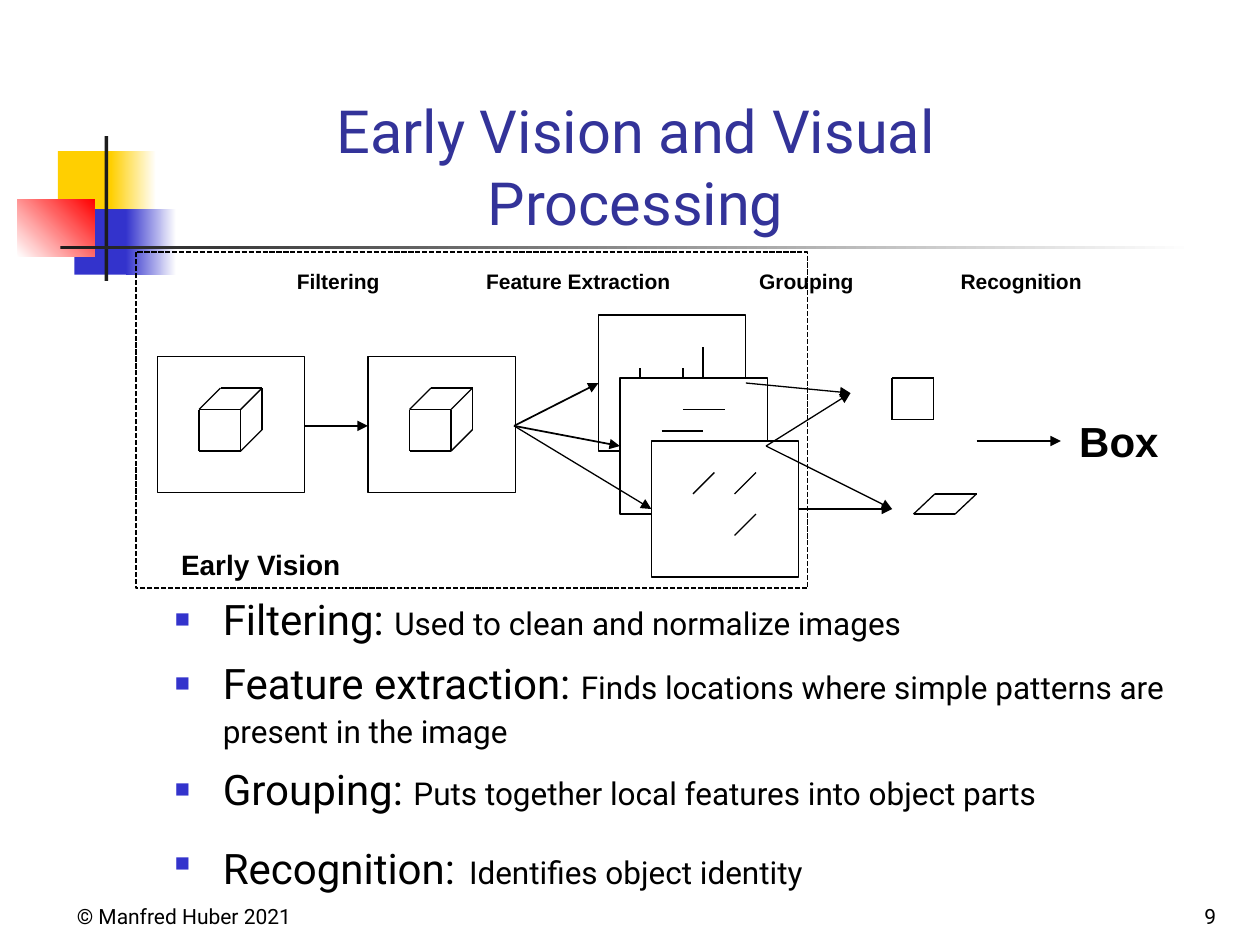
from lxml import etree
from pptx import Presentation
from pptx import util as u
from pptx.dml import color
from pptx.enum import dml, shapes, text
from pptx.oxml import ns

BLACK, WHITE, BLUE, YELLOW, DARK = "000000", "FFFFFF", "3333CC", "FFCF01", "1C1C1C"
LEFT, CENTER, RIGHT = text.PP_ALIGN.LEFT, text.PP_ALIGN.CENTER, text.PP_ALIGN.RIGHT
FRAME_WIDTH, FRAME_HEIGHT = 1.17, 1.08
SIDE, DEPTH = 0.33, 0.17

DECORATION = [
    (0.46, 1.2, 0.48, 0.52, [YELLOW]),
    (0.88, 1.2, 0.36, 0.52, [YELLOW, WHITE]),
    (0.59, 1.66, 0.46, 0.52, [BLUE]),
    (1, 1.66, 0.4, 0.52, [BLUE, WHITE]),
    (0.14, 1.58, 0.61, 0.46, [WHITE, "FF0000"], 45),
    (0.83, 1.08, 0.03, 1.15, [DARK]),
    (0.48, 1.95, 9, 0.03, [DARK, WHITE]),
]
BULLETS = [
    [("Filtering: ", 24), ("Used to clean and normalize images", 18)],
    [("Feature extraction: ", 24),
     ("Finds locations where simple patterns are present in the image", 18)],
    [("Grouping: ", 24), ("Puts together local features into object parts", 18)],
    [("Recognition:", 24), (" ", 32), ("Identifies object identity", 18)],
]
STAGES = [
    ("Filtering", 2.25, 0.87),
    ("Feature Extraction", 3.75, 1.68),
    ("Grouping", 5.92, 0.96),
    ("Recognition", 7.52, 1.17),
]
FEATURE_MAPS = [
    (4.75, 2.5, (0, -SIDE), [(5.08, 3.25), (5.42, 3.25), (5.58, 3.08)]),
    (4.92, 3, (SIDE, 0), [(5.25, 3.42), (5.42, 3.25)]),
    (5.17, 3.5, (DEPTH, -DEPTH), [(5.83, 4.25), (5.83, 3.92), (5.5, 3.92)]),
]
FEATURE_ARROWS = [
    (4.08, 3.38, 4.75, 3.04, 1),
    (4.08, 3.38, 4.92, 3.54, 1),
    (4.08, 3.38, 5.17, 4.04),
]
GROUPING_ARROWS = [
    (6.08, 3.54, 7.08, 4.04),
    (6.08, 3.54, 6.75, 3.12),
    (5.92, 3.04, 6.75, 3.12),
    (6.33, 4.04, 7.08, 4.04),
]


def rgb(value):
    return color.RGBColor.from_string(value)


def add_rectangle(slide, left, top, width, height, fills=(), angle=0, line=None):
    shape = slide.shapes.add_shape(
        shapes.MSO_SHAPE.RECTANGLE,
        u.Inches(left), u.Inches(top), u.Inches(width), u.Inches(height))
    shape.shadow.inherit = False
    if len(fills) == 2:
        shape.fill.gradient()
        shape.fill.gradient_angle = angle
        for stop, value in zip(shape.fill.gradient_stops, fills):
            stop.color.rgb = rgb(value)
    elif fills:
        shape.fill.solid()
        shape.fill.fore_color.rgb = rgb(fills[0])
    else:
        shape.fill.background()
    if line:
        shape.line.color.rgb = rgb(BLACK)
        shape.line.width = u.Pt(line)
    else:
        shape.line.fill.background()
    return shape


def add_frame(slide, left, top, fills=()):
    add_rectangle(slide, left, top, FRAME_WIDTH, FRAME_HEIGHT, fills, line=0.75)


def add_line(slide, x1, y1, x2, y2, width=0.75):
    connector = slide.shapes.add_connector(
        shapes.MSO_CONNECTOR.STRAIGHT,
        u.Inches(x1), u.Inches(y1), u.Inches(x2), u.Inches(y2))
    connector.line.color.rgb = rgb(BLACK)
    connector.line.width = u.Pt(width)
    etree.SubElement(connector._element.spPr, ns.qn("a:effectLst"))
    return connector


def add_arrow(slide, *ends):
    connector = add_line(slide, *ends)
    tail = etree.SubElement(connector.line._get_or_add_ln(), ns.qn("a:tailEnd"))
    tail.set("type", "triangle")


def add_outline(slide, points):
    for start, end in zip(points, points[1:] + points[:1]):
        add_line(slide, *start, *end)


def add_square(slide, x, y):
    add_outline(slide, [(x, y), (x + SIDE, y), (x + SIDE, y + SIDE), (x, y + SIDE)])


def add_cube(slide, x, y):
    add_square(slide, x, y)
    right, back = x + SIDE, x + SIDE + DEPTH
    edges = [(x, y), (x + DEPTH, y - DEPTH), (back, y - DEPTH),
             (back, y + SIDE - DEPTH), (right, y + SIDE)]
    for start, end in zip(edges, edges[1:]):
        add_line(slide, *start, *end)
    add_line(slide, right, y, back, y - DEPTH)


def add_run(paragraph, words, size, font, value=BLACK, bold=False):
    run = paragraph.add_run()
    run.text = words
    run.font.size = u.Pt(size)
    run.font.name = font
    run.font.bold = bold
    run.font.color.rgb = rgb(value)


def add_text_frame(slide, left, top, width, height, anchor=text.MSO_ANCHOR.TOP, wrap=True):
    box = slide.shapes.add_textbox(
        u.Inches(left), u.Inches(top), u.Inches(width), u.Inches(height))
    frame = box.text_frame
    frame.word_wrap = wrap
    frame.vertical_anchor = anchor
    return frame


def add_bottom_text(slide, area, words, size, align, value=BLACK):
    frame = add_text_frame(slide, *area, anchor=text.MSO_ANCHOR.BOTTOM)
    paragraph = frame.paragraphs[0]
    paragraph.alignment = align
    add_run(paragraph, words, size, "Roboto", value)


def add_label(slide, area, words, size, wrap=False):
    frame = add_text_frame(slide, *area, wrap=wrap)
    frame.auto_size = text.MSO_AUTO_SIZE.SHAPE_TO_FIT_TEXT
    paragraph = frame.paragraphs[0]
    paragraph.alignment = CENTER
    add_run(paragraph, words, size, "Arial", bold=True)


def set_bullet(paragraph):
    properties = paragraph._p.get_or_add_pPr()
    properties.set("marL", str(u.Inches(0.38)))
    properties.set("indent", str(u.Inches(-0.38)))
    bullet_color = etree.SubElement(properties, ns.qn("a:buClr"))
    etree.SubElement(bullet_color, ns.qn("a:srgbClr")).set("val", BLUE)
    etree.SubElement(properties, ns.qn("a:buSzPct")).set("val", "60000")
    etree.SubElement(properties, ns.qn("a:buFont")).set("typeface", "Arial")
    etree.SubElement(properties, ns.qn("a:buChar")).set("char", "■")


def add_bullets(slide):
    frame = add_text_frame(slide, 1.29, 4.62, 8.37, 2.63)
    for index, runs in enumerate(BULLETS):
        paragraph = frame.add_paragraph() if index else frame.paragraphs[0]
        paragraph.alignment = LEFT
        paragraph.line_spacing = 1.1
        paragraph.space_before = u.Pt(5)
        set_bullet(paragraph)
        for words, size in runs:
            add_run(paragraph, words, size, "Roboto")


def add_diagram(slide):
    for left in (1.25, 2.92):
        add_frame(slide, left, 2.83)
        add_cube(slide, left + SIDE, 3.25)
    add_arrow(slide, 2.42, 3.38, 2.92, 3.38)
    for left, top, (dx, dy), starts in FEATURE_MAPS:
        add_frame(slide, left, top, [WHITE])
        for x, y in starts:
            add_line(slide, x, y, x + dx, y + dy)
    for arrow in FEATURE_ARROWS + GROUPING_ARROWS:
        add_arrow(slide, *arrow)
    add_square(slide, 7.08, 3)
    add_outline(slide, [(7.25, 4.08), (7.42, 3.92), (7.75, 3.92), (7.58, 4.08)])
    add_arrow(slide, 7.75, 3.5, 8.42, 3.5)
    add_label(slide, (8.43, 3.25, 0.9, 0.5), "Box", 24, wrap=True)
    for words, left, width in STAGES:
        add_label(slide, (left, 2.08, width, 0.3), words, 12)
    border = add_rectangle(slide, 1.08, 2, 5.33, 2.67, line=1)
    border.line.dash_style = dml.MSO_LINE.SQUARE_DOT
    add_label(slide, (1.33, 4.3, 1.48, 0.37), "Early Vision", 16)


def main():
    presentation = Presentation()
    presentation.slide_width, presentation.slide_height = u.Inches(10), u.Inches(7.5)
    slide = presentation.slides.add_slide(presentation.slide_layouts[6])
    for part in DECORATION:
        add_rectangle(slide, *part)
    add_bottom_text(slide, (0.33, 6.92, 2.08, 0.5), "© Manfred Huber 2021", 12, RIGHT)
    add_bottom_text(slide, (7.42, 6.92, 2.33, 0.5), "9", 12, RIGHT)
    add_bottom_text(slide, (1.42, 0.68, 7.25, 1.25),
                    "Early Vision and Visual Processing", 34, CENTER, "333399")
    add_bullets(slide)
    add_diagram(slide)
    presentation.save("out.pptx")


if __name__ == "__main__":
    main()
